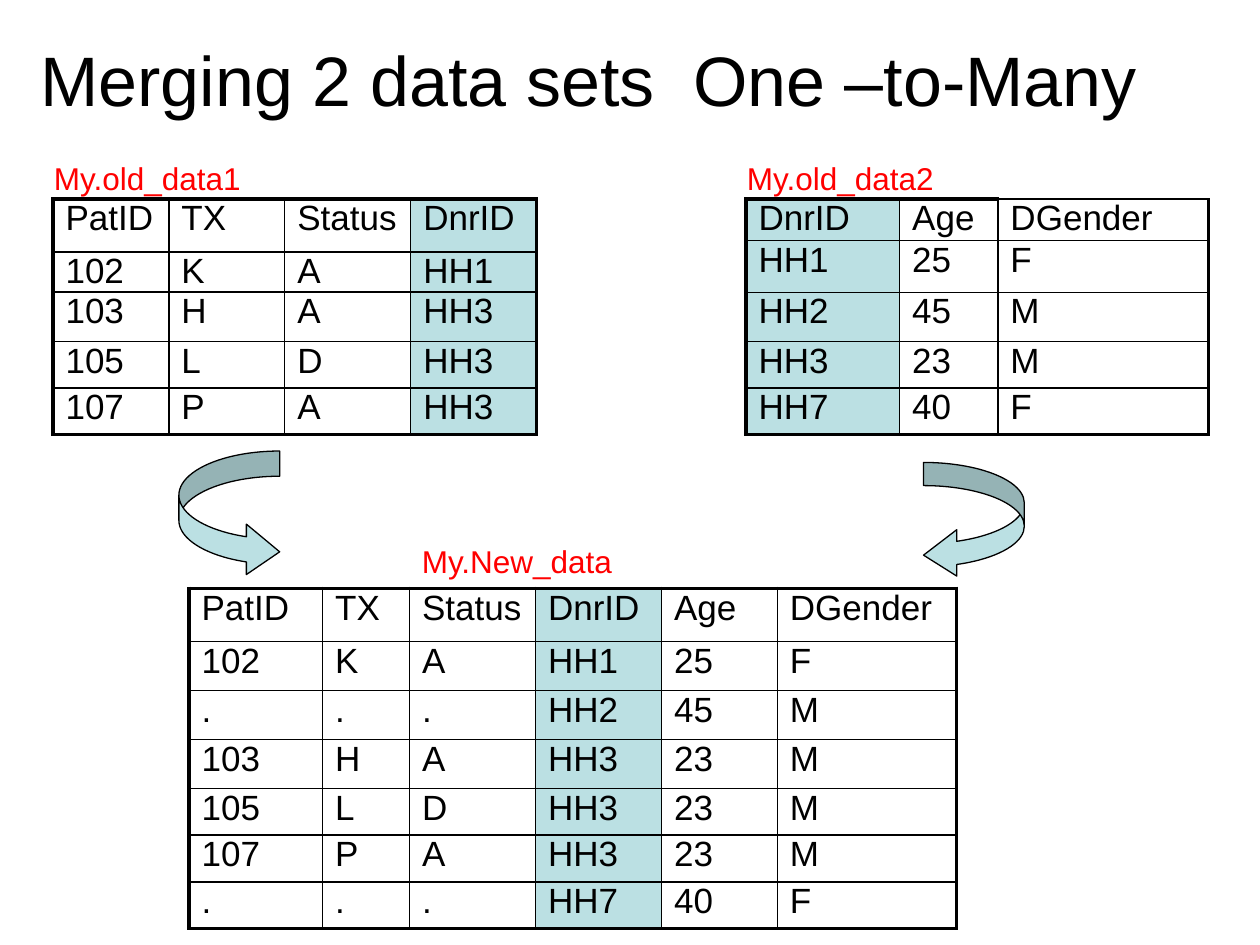
from dataclasses import dataclass

from lxml.etree import SubElement
from pptx import Presentation
from pptx.dml.color import RGBColor as RGB
from pptx.enum.shapes import MSO_SHAPE as SHAPE
from pptx.enum.text import MSO_ANCHOR, MSO_AUTO_SIZE, PP_ALIGN
from pptx.oxml.ns import qn
from pptx.util import Inches, Pt


@dataclass(frozen=True)
class Theme:
    font: str = "Arial"
    ink: RGB = RGB(0, 0, 0)
    label: RGB = RGB(255, 0, 0)
    key: RGB = RGB(0xBB, 0xE0, 0xE3)
    title_size: int = 40
    cell_size: int = 20
    label_size: int = 18
    inner: float = 1
    outer: float = 2.25


THEME = Theme()

PATIENTS = ["PatID TX Status DnrID", "102 K A HH1", "103 H A HH3", "105 L D HH3", "107 P A HH3"]
DONORS = ["DnrID Age DGender", "HH1 25 F", "HH2 45 M", "HH3 23 M", "HH7 40 F"]
MERGED = [
    "PatID TX Status DnrID Age DGender",
    "102 K A HH1 25 F",
    ". . . HH2 45 M",
    "103 H A HH3 23 M",
    "105 L D HH3 23 M",
    "107 P A HH3 23 M",
    ". . . HH7 40 F",
]


def style_text(tf, size, color):
    for p in tf.paragraphs:
        for r in p.runs:
            r.font.name = THEME.font
            r.font.size = Pt(size)
            r.font.color.rgb = color


def set_title(slide, text):
    sp = slide.shapes.title
    sp.left, sp.top, sp.width, sp.height = Inches(0.17), 0, Inches(9), Inches(1.25)
    tf = sp.text_frame
    tf.text = text
    tf.vertical_anchor = MSO_ANCHOR.MIDDLE
    tf.paragraphs[0].alignment = PP_ALIGN.CENTER
    style_text(tf, THEME.title_size, THEME.ink)


def add_label(slide, text, left, top, width):
    sp = slide.shapes.add_textbox(Inches(left), Inches(top), Inches(width), Inches(0.4))
    tf = sp.text_frame
    tf.text = text
    tf.word_wrap = False
    tf.auto_size = MSO_AUTO_SIZE.SHAPE_TO_FIT_TEXT
    style_text(tf, THEME.label_size, THEME.label)


def add_arrow(slide, preset, box, adjustments):
    sp = slide.shapes.add_shape(preset, *map(Inches, box))
    sp.shadow.inherit = False
    sp.fill.solid()
    sp.fill.fore_color.rgb = THEME.key
    sp.line.color.rgb = THEME.ink
    sp.line.width = Pt(0.75)
    for i, value in enumerate(adjustments):
        sp.adjustments[i] = value


def set_borders(cell, widths):
    tc_pr = cell._tc.get_or_add_tcPr()
    for side, width in zip("LRTB", widths):
        ln = SubElement(tc_pr, qn(f"a:ln{side}"), w=str(Pt(width)))
        fill = SubElement(ln, qn("a:solidFill"))
        SubElement(fill, qn("a:srgbClr"), val=str(THEME.ink))


def format_cell(cell, text, is_key):
    cell.margin_left = cell.margin_right = Inches(0.1)
    cell.margin_top = cell.margin_bottom = 0
    cell.text_frame.text = text
    style_text(cell.text_frame, THEME.cell_size, THEME.ink)
    if is_key:
        cell.fill.solid()
        cell.fill.fore_color.rgb = THEME.key
    else:
        cell.fill.background()


def add_data_table(slide, data, left, top, col_widths, row_heights, thin_top=()):
    grid = [line.split() for line in data]
    n_rows, n_cols = len(grid), len(grid[0])
    frame = slide.shapes.add_table(
        n_rows, n_cols, Inches(left), Inches(top),
        Inches(sum(col_widths)), Inches(sum(row_heights)),
    )
    table = frame.table
    table.first_row = table.horz_banding = False
    for col, width in zip(table.columns, col_widths):
        col.width = Inches(width)
    for row, height in zip(table.rows, row_heights):
        row.height = Inches(height)
    for i, values in enumerate(grid):
        for j, text in enumerate(values):
            cell = table.cell(i, j)
            heading = grid[0][j]
            on_edge = (j == 0, j == n_cols - 1, i == 0 and heading not in thin_top, i == n_rows - 1)
            set_borders(cell, [THEME.outer if edge else THEME.inner for edge in on_edge])
            format_cell(cell, text, heading == "DnrID")


def main():
    prs = Presentation()
    prs.slide_width, prs.slide_height = Inches(10), Inches(7.5)
    slide = prs.slides.add_slide(prs.slide_layouts[5])
    set_title(slide, "Merging 2 data sets  One –to-Many")

    add_data_table(slide, DONORS, 5.92, 1.58, [1.22, 0.78, 1.67],
                   [0.33, 0.41, 0.39, 0.37, 0.37], thin_top=("DGender",))
    add_data_table(slide, PATIENTS, 0.42, 1.58, [0.92, 0.92, 1, 1],
                   [0.42, 0.32, 0.39, 0.37, 0.37])
    add_data_table(slide, MERGED, 1.5, 4.67, [1.06, 0.69, 1, 1, 0.92, 1.42],
                   [0.42] + [0.39] * 3 + [0.37] * 3)

    add_arrow(slide, SHAPE.CURVED_RIGHT_ARROW, (1.42, 3.58, 0.8, 1), (0.25, 0.5, 0.33))
    add_arrow(slide, SHAPE.CURVED_LEFT_ARROW, (7.33, 3.67, 0.8, 0.92), (0.23, 0.46, 0.33))

    add_label(slide, "My.old_data1", 0.33, 1.21, 1.7)
    add_label(slide, "My.old_data2", 5.83, 1.21, 1.7)
    add_label(slide, "My.New_data", 3.25, 4.25, 1.73)
    prs.save("out.pptx")


if __name__ == "__main__":
    main()
